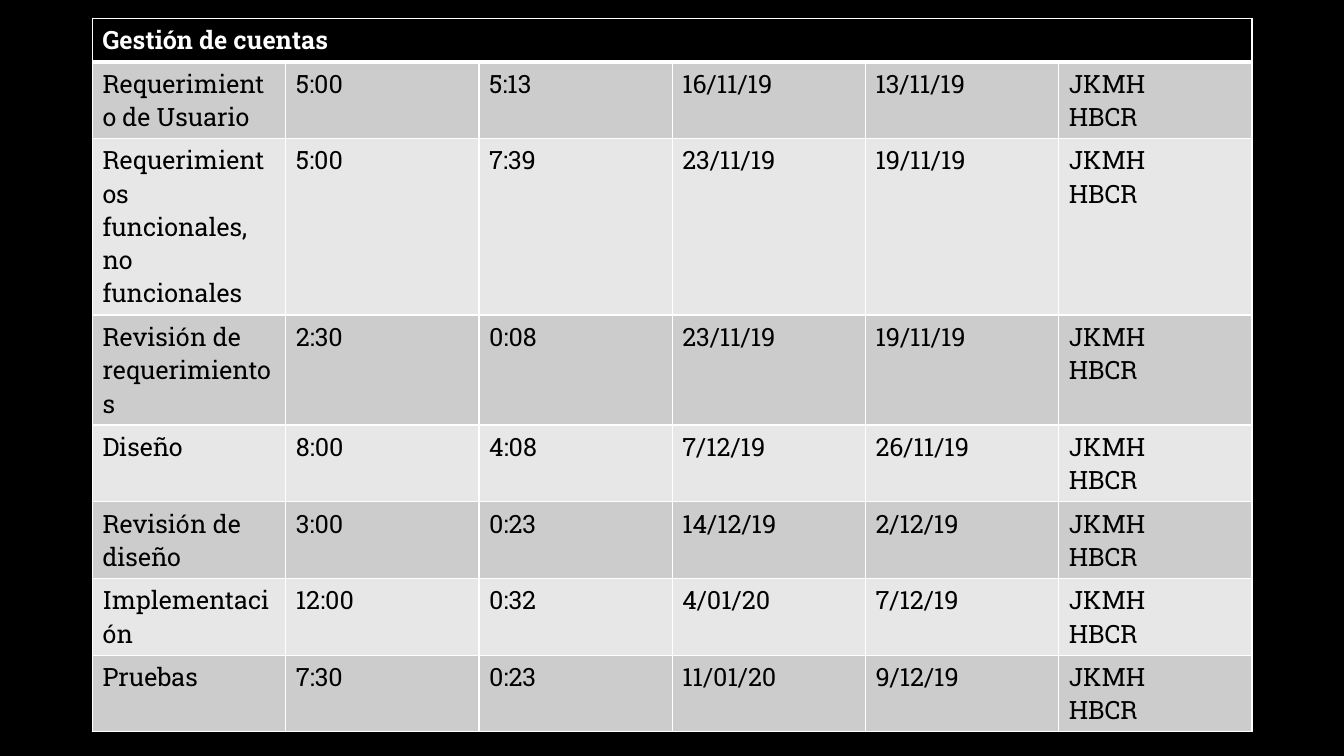
from dataclasses import dataclass

from lxml.etree import SubElement
from pptx import Presentation
from pptx.dml.color import RGBColor as Color
from pptx.oxml.ns import qn
from pptx.util import Cm, Pt


@dataclass(frozen=True)
class Theme:
    black: str = "000000"
    white: str = "FFFFFF"
    bands: tuple = ("CCCCCC", "E7E7E7")
    font: str = "Roboto Slab"
    size: int = 18
    thin: int = 1
    thick: int = 3


theme = Theme()

TITLE = "Gestión de cuentas"
TEAM = "JKMH\nHBCR"
TASKS = [
    ("Requerimiento de Usuario", "5:00", "5:13", "16/11/19", "13/11/19"),
    ("Requerimientos funcionales, no funcionales", "5:00", "7:39", "23/11/19", "19/11/19"),
    ("Revisión de requerimientos", "2:30", "0:08", "23/11/19", "19/11/19"),
    ("Diseño", "8:00", "4:08", "7/12/19", "26/11/19"),
    ("Revisión de diseño", "3:00", "0:23", "14/12/19", "2/12/19"),
    ("Implementación", "12:00", "0:32", "4/01/20", "7/12/19"),
    ("Pruebas", "7:30", "0:23", "11/01/20", "9/12/19"),
]
COLUMNS = len(TASKS[0]) + 1
COLUMN_WIDTH, ROW_HEIGHT = Cm(4.87), Cm(1.04)


def style_cell(cell, fill, top, bottom):
    """Draw the four white borders, with top and bottom widths in points, then fill the cell."""
    widths = {"a:lnL": theme.thin, "a:lnR": theme.thin, "a:lnT": top, "a:lnB": bottom}
    properties = cell._tc.get_or_add_tcPr()
    for side, width in widths.items():
        line = SubElement(properties, qn(side), w=str(Pt(width)))
        solid = SubElement(line, qn("a:solidFill"))
        SubElement(solid, qn("a:srgbClr"), val=theme.white)
    cell.fill.solid()
    cell.fill.fore_color.rgb = Color.from_string(fill)


def write_cell(cell, text, color, bold):
    cell.text = text
    for para in cell.text_frame.paragraphs:
        for span in para.runs:
            look = {"name": theme.font, "size": Pt(theme.size), "bold": bold}
            for name, value in look.items():
                setattr(span.font, name, value)
            span.font.color.rgb = Color.from_string(color)


deck = Presentation()
deck.slide_width, deck.slide_height = Cm(33.87), Cm(19.05)
page = deck.slides.add_slide(deck.slide_layouts[6])
page.background.fill.solid()
page.background.fill.fore_color.rgb = Color.from_string(theme.black)

row_count = len(TASKS) + 1
table = page.shapes.add_table(
    row_count, COLUMNS, Cm(2.33), Cm(0.46), COLUMN_WIDTH * COLUMNS, ROW_HEIGHT * row_count
).table
for column in table.columns:
    column.width = COLUMN_WIDTH
for row in table.rows:
    row.height = ROW_HEIGHT

for cell in table.rows[0].cells:
    style_cell(cell, theme.black, theme.thin, theme.thick)
table.cell(0, 0).merge(table.cell(0, COLUMNS - 1))
write_cell(table.cell(0, 0), TITLE, theme.white, True)

for index, task in enumerate(TASKS):
    top = theme.thick if index == 0 else theme.thin
    for cell, text in zip(table.rows[index + 1].cells, (*task, TEAM)):
        style_cell(cell, theme.bands[index % 2], top, theme.thin)
        write_cell(cell, text, theme.black, False)

deck.save("out.pptx")
